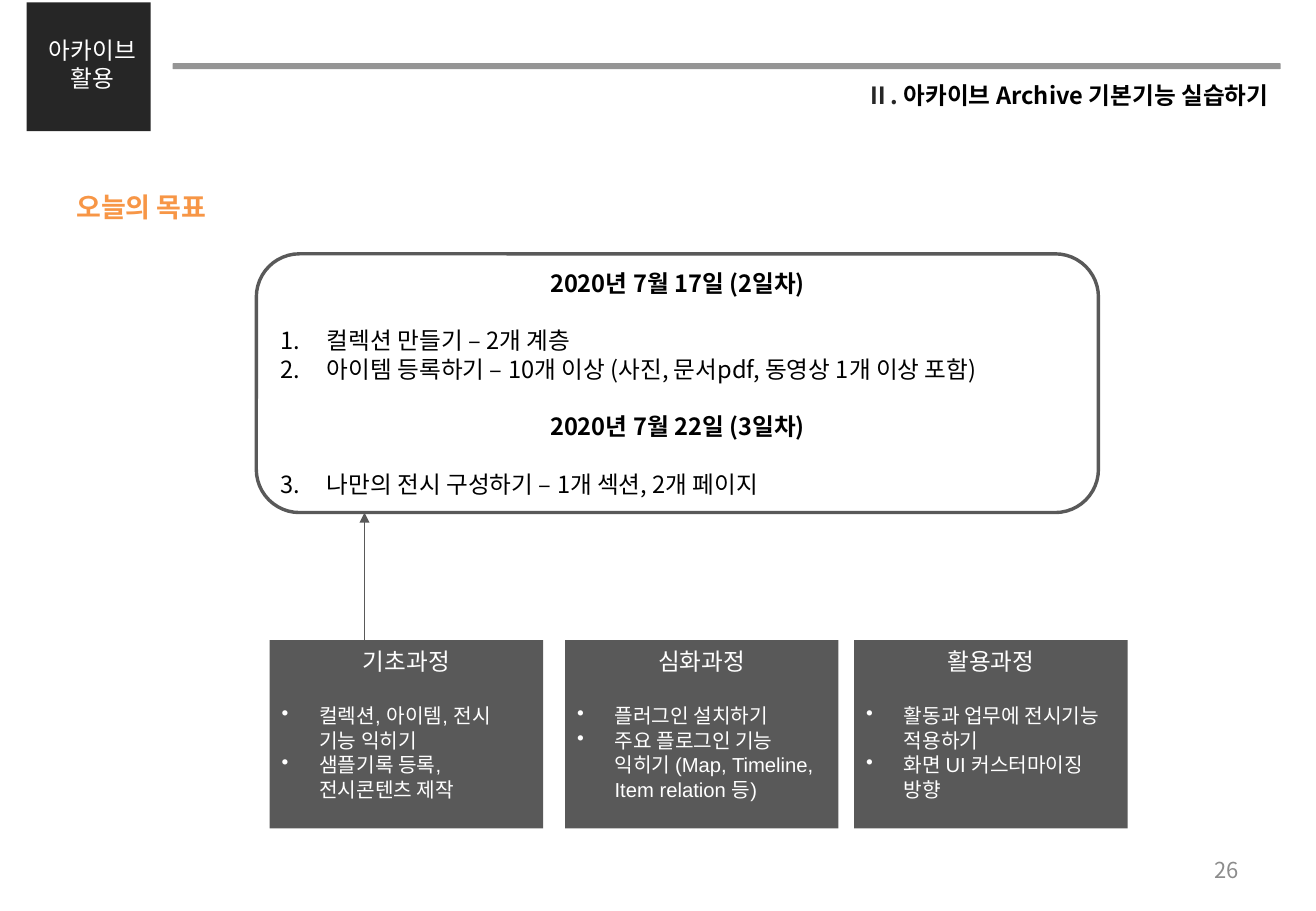
from lxml.etree import SubElement
from pptx import Presentation
from pptx.dml.color import RGBColor
from pptx.enum.shapes import MSO_CONNECTOR, MSO_SHAPE
from pptx.enum.text import MSO_ANCHOR, MSO_AUTO_SIZE, PP_ALIGN
from pptx.oxml.ns import qn
from pptx.util import Inches, Pt

WIDTH, HEIGHT = Inches(10.83), Inches(7.5)
KOREAN, LATIN = "Noto Sans CJK KR", "Arial"
BLACK = RGBColor(0x00, 0x00, 0x00)
WHITE = RGBColor(0xFF, 0xFF, 0xFF)
INK = RGBColor(0x26, 0x26, 0x26)
SLATE = RGBColor(0x59, 0x59, 0x59)
GREY = RGBColor(0x80, 0x80, 0x80)
PAGE_GREY = RGBColor(0x8C, 0x8C, 0x8C)
ORANGE = RGBColor(0xF7, 0x96, 0x46)

LINE_14, LINE_12 = Pt(17), Pt(14.5)
COURSE_TOP, COURSE_WIDTH, COURSE_HEIGHT = 70.27, 20.78, 20.67
GOAL_TOP, GOAL_HEIGHT = 27.87, 28.4
ARROW_COLUMN = 27.7

GOALS = [
    ("2020년 7월 17일 (2일차)", 1,
     ["컬렉션 만들기 – 2개 계층",
      "아이템 등록하기 – 10개 이상 (사진, 문서pdf, 동영상 1개 이상 포함)"]),
    ("2020년 7월 22일 (3일차)", 3,
     ["나만의 전시 구성하기 – 1개 섹션, 2개 페이지"]),
]
COURSES = [
    (20.5, "기초과정", ["컬렉션, 아이템, 전시 기능 익히기",
                    "샘플기록 등록, 전시콘텐츠 제작"]),
    (42.94, "심화과정", ["플러그인 설치하기",
                     "주요 플로그인 기능 익히기 (Map, Timeline, Item relation 등)"]),
    (64.91, "활용과정", ["활동과 업무에 전시기능 적용하기",
                     "화면 UI 커스터마이징 방향"]),
]


def across(share):
    """Turn a percentage of the slide width into a length."""
    return int(WIDTH * share / 100)


def down(share):
    """Turn a percentage of the slide height into a length."""
    return int(HEIGHT * share / 100)


def area(left, top, width, height):
    """Turn four percentages into a position and a size."""
    return across(left), down(top), across(width), down(height)


def apply(target, formats):
    """Set each attribute named in a dict of format values."""
    for attribute, value in formats.items():
        setattr(target, attribute, value)


def prepare(frame, anchor=MSO_ANCHOR.TOP):
    """Give a text frame wrapping and a fixed size."""
    apply(frame, {"word_wrap": True, "auto_size": MSO_AUTO_SIZE.NONE,
                  "vertical_anchor": anchor})
    return frame


def write(paragraph, text, size, color, bold=False, font=KOREAN,
          align=PP_ALIGN.LEFT, spacing=LINE_14, before=0, after=0):
    """Fill a paragraph with one formatted run."""
    apply(paragraph, {"alignment": align, "line_spacing": spacing,
                      "space_before": Pt(before), "space_after": Pt(after)})
    run = paragraph.add_run()
    run.text = text
    apply(run.font, {"size": Pt(size), "bold": bold, "name": font})
    run.font.color.rgb = color
    SubElement(run.font._element, qn("a:ea"), typeface=KOREAN)


def mark(paragraph, indent, kind, **values):
    """Add a list marker with a hanging indent, or remove the marker."""
    properties = paragraph._p.get_or_add_pPr()
    properties.set("marL", str(Inches(indent)))
    properties.set("indent", str(-Inches(indent)))
    SubElement(properties, qn(f"a:{kind}"), **values)


def add_label(slide, place, text, size, color, anchor=MSO_ANCHOR.TOP, **style):
    """Add a text box holding one paragraph."""
    label = slide.shapes.add_textbox(*area(*place))
    write(prepare(label.text_frame, anchor).paragraphs[0], text, size, color, **style)


def add_block(slide, preset, place, fill, outline=None):
    """Add a flat filled shape with an optional outline."""
    block = slide.shapes.add_shape(preset, *area(*place))
    block.shadow.inherit = False
    block.fill.solid()
    block.fill.fore_color.rgb = fill
    if outline is None:
        block.line.fill.background()
    else:
        block.line.color.rgb = outline
        block.line.width = Pt(2)
    return block


def add_header(slide):
    """Draw the rule, the tag and the section name."""
    rule = add_block(slide, MSO_SHAPE.ROUNDED_RECTANGLE, (13.11, 6.93, 84.21, 0.67), GREY)
    tint = rule._element.spPr.find(qn("a:solidFill"))[0]
    SubElement(tint, qn("a:alpha"), val="83000")
    add_block(slide, MSO_SHAPE.RECTANGLE, (2.03, 0.27, 9.42, 14.13), INK)
    add_label(slide, (1.66, 3.2, 10.71, 7.6), "아카이브 활용", 14, WHITE,
              align=PP_ALIGN.CENTER)
    section = slide.shapes.add_textbox(*area(60.94, 8.13, 36.38, 4.53))
    line = prepare(section.text_frame).paragraphs[0]
    for text, color in (("Ⅱ. ", INK), ("아카이브 Archive 기본기능 실습하기", BLACK)):
        write(line, text, 14, color, bold=True, align=PP_ALIGN.RIGHT)


def add_title(slide, text):
    """Place and fill the slide title."""
    title = slide.shapes.title
    apply(title, dict(zip(("left", "top", "width", "height"),
                          area(4.89, 19.07, 92.34, 7.33))))
    write(prepare(title.text_frame, MSO_ANCHOR.MIDDLE).paragraphs[0],
          text, 16, ORANGE, bold=True, spacing=1.0)


def add_goals(slide):
    """Draw the goal frame and list the goals of each day in it."""
    border = add_block(slide, MSO_SHAPE.ROUNDED_RECTANGLE,
                       (19.48, GOAL_TOP, 63.99, GOAL_HEIGHT), WHITE, SLATE)
    body = slide.placeholders[1]
    apply(body, dict(zip(("left", "top", "width", "height"),
                         area(20.41, GOAL_TOP, 62.14, GOAL_HEIGHT))))
    border._element.addnext(body._element)
    frame = prepare(body.text_frame, MSO_ANCHOR.MIDDLE)
    for day, (date, start, goals) in enumerate(GOALS):
        heading = frame.add_paragraph() if day else frame.paragraphs[0]
        write(heading, date, 14, BLACK, bold=True, align=PP_ALIGN.CENTER,
              before=17 if day else 0, after=17)
        mark(heading, 0, "buNone")
        for goal in goals:
            item = frame.add_paragraph()
            write(item, goal, 14, BLACK)
            mark(item, 0.38, "buAutoNum", type="arabicPeriod", startAt=str(start))


def add_course(slide, left, name, topics):
    """Draw one course box with its bulleted topics."""
    course = add_block(slide, MSO_SHAPE.RECTANGLE,
                       (left, COURSE_TOP, COURSE_WIDTH, COURSE_HEIGHT), SLATE)
    frame = prepare(course.text_frame)
    write(frame.paragraphs[0], name, 14, WHITE, align=PP_ALIGN.CENTER, after=17)
    for topic in topics:
        item = frame.add_paragraph()
        write(item, topic, 12, WHITE, font=LATIN, spacing=LINE_12)
        mark(item, 0.31, "buChar", char="•")


def add_arrow(slide):
    """Draw the arrow from the first course up to the goals."""
    x = across(ARROW_COLUMN)
    arrow = slide.shapes.add_connector(MSO_CONNECTOR.STRAIGHT, x, down(COURSE_TOP),
                                       x, down(GOAL_TOP + GOAL_HEIGHT))
    arrow.line.color.rgb = SLATE
    arrow.line.width = Pt(0.75)
    SubElement(arrow.line._get_or_add_ln(), qn("a:tailEnd"), type="triangle")
    SubElement(arrow._element.spPr, qn("a:effectLst"))


def main():
    """Build the slide and save it."""
    deck = Presentation()
    apply(deck, {"slide_width": WIDTH, "slide_height": HEIGHT})
    slide = deck.slides.add_slide(deck.slide_layouts[1])
    add_header(slide)
    add_title(slide, "오늘의 목표")
    for course in COURSES:
        add_course(slide, *course)
    add_goals(slide)
    add_arrow(slide)
    add_label(slide, (71.65, 92.67, 23.36, 5.33), "26", 13, PAGE_GREY,
              anchor=MSO_ANCHOR.MIDDLE, align=PP_ALIGN.RIGHT)
    deck.save("out.pptx")


if __name__ == "__main__":
    main()
